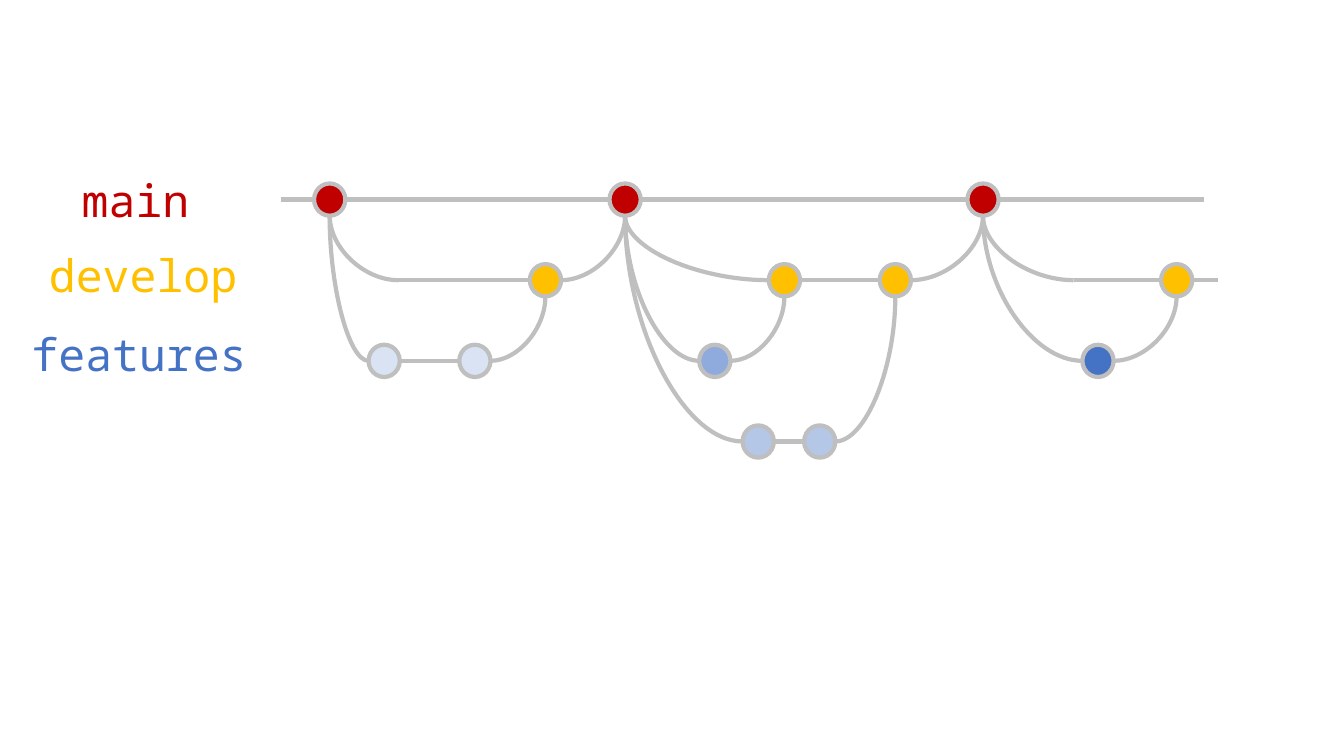
from dataclasses import dataclass
from lxml.etree import SubElement
from pptx import Presentation
from pptx.dml.color import RGBColor
from pptx.enum.shapes import MSO_CONNECTOR, MSO_SHAPE
from pptx.enum.text import MSO_AUTO_SIZE, PP_ALIGN
from pptx.oxml.ns import qn
from pptx.util import Inches, Pt


@dataclass(frozen=True)
class Theme:
    main: str = "C00000"
    develop: str = "FFC000"
    feature: str = "4472C4"
    feature_pale: str = "DAE3F3"
    feature_light: str = "B4C7E7"
    feature_medium: str = "8FAADC"
    branch: str = "BFBFBF"
    font: str = "Noto Sans Mono"
    label_size: int = 32
    line_width: int = 3


THEME = Theme()
SLIDE_WIDTH, SLIDE_HEIGHT = 13.33, 7.5
FIRST_LANE, LANE_STEP = 1.98, 0.8
COMMIT_WIDTH, COMMIT_HEIGHT = 0.31, 0.32
LABEL_HEIGHT = 0.64
MAIN, DEVELOP, FEATURES, LONG_FEATURE = range(4)

LABELS = [
    ("main", 0.33, 1.66, 2.03, THEME.main),
    ("develop", 0.23, 2.41, 2.38, THEME.develop),
    ("features", 0.19, 3.19, 2.38, THEME.feature),
]
COMMITS = {
    "release 1": (3.27, MAIN, THEME.main),
    "release 2": (6.2, MAIN, THEME.main),
    "release 3": (9.75, MAIN, THEME.main),
    "merge 1": (5.41, DEVELOP, THEME.develop),
    "merge 2": (7.78, DEVELOP, THEME.develop),
    "merge 3": (8.88, DEVELOP, THEME.develop),
    "merge 4": (11.67, DEVELOP, THEME.develop),
    "pale start": (3.81, FEATURES, THEME.feature_pale),
    "pale end": (4.71, FEATURES, THEME.feature_pale),
    "medium": (7.09, FEATURES, THEME.feature_medium),
    "light start": (7.52, LONG_FEATURE, THEME.feature_light),
    "light end": (8.13, LONG_FEATURE, THEME.feature_light),
    "strong": (10.89, FEATURES, THEME.feature),
}
LANE_ENDS = {
    "main start": (2.79, MAIN),
    "main end": (11.94, MAIN),
    "develop start": (3.95, DEVELOP),
    "develop restart": (10.65, DEVELOP),
    "develop end": (12.08, DEVELOP),
}
STRAIGHTS = [
    ("main start", "main end"),
    ("develop start", "merge 1"),
    ("merge 2", "merge 3"),
    ("develop restart", "develop end"),
    ("pale start", "pale end"),
    ("light start", "light end"),
]
CURVES = [
    ("develop start", "release 1"),
    ("pale start", "release 1"),
    ("pale end", "merge 1"),
    ("merge 1", "release 2"),
    ("merge 2", "release 2"),
    ("medium", "release 2"),
    ("medium", "merge 2"),
    ("light start", "release 2"),
    ("light end", "merge 3"),
    ("merge 3", "release 3"),
    ("develop restart", "release 3"),
    ("strong", "release 3"),
    ("strong", "merge 4"),
]


def centre(name):
    column, lane = (COMMITS.get(name) or LANE_ENDS[name])[:2]
    return column, FIRST_LANE + lane * LANE_STEP


def curve_ends(lower, upper):
    lower_x, lower_y = centre(lower)
    upper_x, upper_y = centre(upper)
    if lower in COMMITS:
        lower_x += COMMIT_WIDTH / 2 * (1 if upper_x > lower_x else -1)
    return (lower_x, lower_y), (upper_x, upper_y + COMMIT_HEIGHT / 2)


def style_line(line):
    line.color.rgb = RGBColor.from_string(THEME.branch)
    line.width = Pt(THEME.line_width)


def add_branch(slide, start, end, curved=False):
    kind = MSO_CONNECTOR.CURVE if curved else MSO_CONNECTOR.STRAIGHT
    connector = slide.shapes.add_connector(kind, *map(Inches, (*start, *end)))
    style_line(connector.line)
    properties = connector.element.spPr
    if curved:
        properties.find(qn("a:prstGeom")).set("prst", "curvedConnector2")
    SubElement(properties, qn("a:effectLst"))


def add_commit(slide, name):
    x, y = centre(name)
    box = (x - COMMIT_WIDTH / 2, y - COMMIT_HEIGHT / 2, COMMIT_WIDTH, COMMIT_HEIGHT)
    shape = slide.shapes.add_shape(MSO_SHAPE.OVAL, *map(Inches, box))
    shape.shadow.inherit = False
    shape.fill.solid()
    shape.fill.fore_color.rgb = RGBColor.from_string(COMMITS[name][2])
    style_line(shape.line)


def add_text(slide, text, *, box, color, size=THEME.label_size, font=THEME.font):
    frame = slide.shapes.add_textbox(*map(Inches, box)).text_frame
    frame.word_wrap = True
    frame.auto_size = MSO_AUTO_SIZE.SHAPE_TO_FIT_TEXT
    paragraph = frame.paragraphs[0]
    paragraph.alignment = PP_ALIGN.CENTER
    run = paragraph.add_run()
    run.text = text
    run.font.name = font
    run.font.size = Pt(size)
    run.font.color.rgb = RGBColor.from_string(color)


def main():
    presentation = Presentation()
    presentation.slide_width = Inches(SLIDE_WIDTH)
    presentation.slide_height = Inches(SLIDE_HEIGHT)
    slide = presentation.slides.add_slide(presentation.slide_layouts[6])
    for start, end in STRAIGHTS:
        add_branch(slide, centre(start), centre(end))
    for lower, upper in CURVES:
        add_branch(slide, *curve_ends(lower, upper), curved=True)
    for name in COMMITS:
        add_commit(slide, name)
    for text, left, top, width, color in LABELS:
        add_text(slide, text, box=(left, top, width, LABEL_HEIGHT), color=color)
    presentation.save("out.pptx")


if __name__ == "__main__":
    main()
